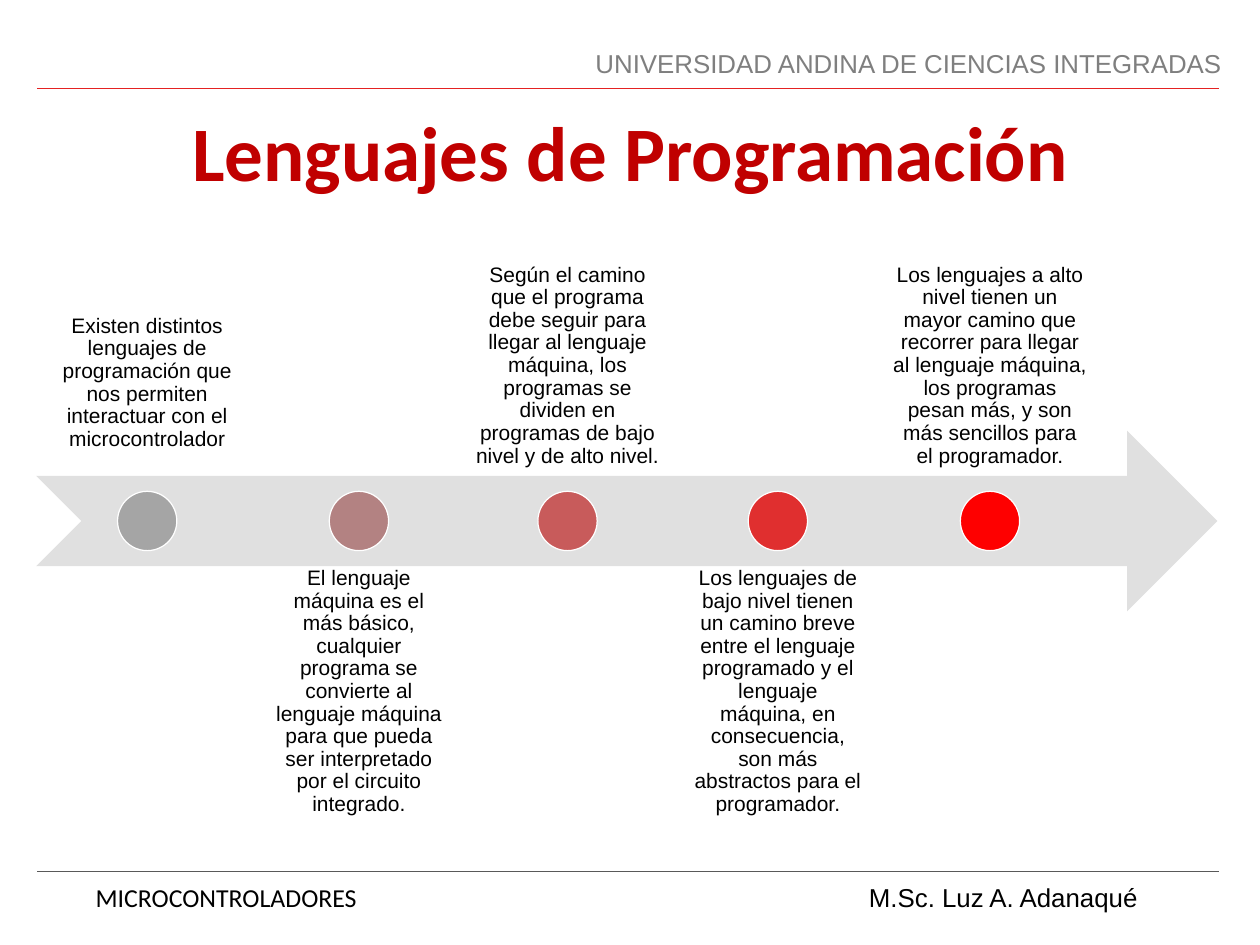
import pptx
import pptx.dml.color
import pptx.enum.shapes
import pptx.enum.text
import pptx.oxml.ns
import pptx.util
from lxml import etree

Cm = pptx.util.Cm
Align = pptx.enum.text.PP_ALIGN
Anchor = pptx.enum.text.MSO_ANCHOR
Shape = pptx.enum.shapes.MSO_SHAPE

COLORS = {
    "header_rule": "E42222",
    "footer_rule": "595959",
    "university": "7F7F7F",
    "title": "C00000",
    "text": "000000",
    "arrow": "E0E0E0",
    "dot_outline": "FFFFFF",
    "start": "A5A5A5",
    "machine": "B38282",
    "path": "C85B5B",
    "low_level": "E02F2F",
    "high_level": "FE0000",
}

MILESTONES = [
    ("start", 6.3, "Existen distintos lenguajes de programación que nos permiten "
     "interactuar con el microcontrolador"),
    ("machine", 5.46, "El lenguaje máquina es el más básico, cualquier programa se convierte "
     "al lenguaje máquina para que pueda ser interpretado por el circuito integrado."),
    ("path", 6.12, "Según el camino que el programa debe seguir para llegar al lenguaje "
     "máquina, los programas se dividen en programas de bajo nivel y de alto nivel."),
    ("low_level", 5.56, "Los lenguajes de bajo nivel tienen un camino breve entre el lenguaje "
     "programado y el lenguaje máquina, en consecuencia, son más abstractos para el programador."),
    ("high_level", 6.22, "Los lenguajes a alto nivel tienen un mayor camino que recorrer para "
     "llegar al lenguaje máquina, los programas pesan más, y son más sencillos para el programador."),
]


def color(key):
    """Return the named colour."""
    return pptx.dml.color.RGBColor.from_string(COLORS[key])


def write(frame, text, size, font, ink, align, anchor=Anchor.TOP, margin=None, bold=False):
    """Fill a text frame with one formatted paragraph."""
    frame.word_wrap = True
    frame.auto_size = pptx.enum.text.MSO_AUTO_SIZE.NONE
    frame.vertical_anchor = anchor
    if margin is not None:
        frame.margin_left = frame.margin_right = Cm(margin)
        frame.margin_top = frame.margin_bottom = Cm(margin)
    paragraph = frame.paragraphs[0]
    paragraph.text = text
    paragraph.alignment = align
    paragraph.line_spacing = 0.9
    paragraph.font.name = font
    paragraph.font.size = pptx.util.Pt(size)
    paragraph.font.bold = bold
    paragraph.font.color.rgb = color(ink)


def add_text(slide, box, *style, **options):
    """Add a formatted text box."""
    frame = slide.shapes.add_textbox(*map(Cm, box)).text_frame
    write(frame, *style, **options)


def add_rule(slide, left, top, width, ink):
    """Add a thin horizontal line."""
    rule = slide.shapes.add_connector(
        pptx.enum.shapes.MSO_CONNECTOR.STRAIGHT,
        Cm(left), Cm(top), Cm(left + width), Cm(top))
    rule.line.color.rgb = color(ink)
    rule.line.width = pptx.util.Pt(0.75)
    etree.SubElement(rule._element.spPr, pptx.oxml.ns.qn("a:effectLst"))


def add_solid(slide, kind, box, fill, outline=None):
    """Add a flat filled shape, outlined when a colour is given."""
    solid = slide.shapes.add_shape(kind, *map(Cm, box))
    solid.shadow.inherit = False
    solid.fill.solid()
    solid.fill.fore_color.rgb = color(fill)
    if outline:
        solid.line.color.rgb = color(outline)
        solid.line.width = pptx.util.Pt(1)
    else:
        solid.line.fill.background()


def add_header(slide, box):
    """Place the university name above its rule."""
    left, top, width, height = box
    add_rule(slide, left, top + height, width, "header_rule")
    add_text(slide, (left + 14.2, top, 20, 1.55), "UNIVERSIDAD ANDINA DE CIENCIAS INTEGRADAS",
             21, "Arial", "university", Align.RIGHT)


def add_title(slide, box):
    """Place the slide title."""
    title = slide.shapes.title
    title.left, title.top, title.width, title.height = map(Cm, box)
    write(title.text_frame, "Lenguajes de Programación", 62.6, "Calibri", "title",
          Align.CENTER, Anchor.MIDDLE, bold=True)


def add_timeline(slide, box):
    """Place the arrow, its dots and the texts alternating above and below it."""
    left, top, width, height = box
    dot, gap, text_height = 1.7, 0.19, 6.81
    middle = top + height / 2
    add_solid(slide, Shape.NOTCHED_RIGHT_ARROW, box, "arrow")
    text_left = left + 0.03
    for index, (stage, text_width, text) in enumerate(MILESTONES):
        above = index % 2 == 0
        rise = 8.49 if index == 0 else 8.01
        text_top = middle - rise if above else middle + 1
        add_text(slide, (text_left, text_top, text_width, text_height), text, 17, "Arial", "text",
                 Align.CENTER, Anchor.BOTTOM if above else Anchor.TOP, margin=0.33)
        dot_left = text_left + (text_width - dot) / 2
        add_solid(slide, Shape.OVAL, (dot_left, middle - dot / 2, dot, dot), stage, "dot_outline")
        text_left += text_width + gap


def add_footer(slide, box):
    """Place the course and the teacher under a rule."""
    left, top, width, height = box
    add_rule(slide, left, top, width, "footer_rule")
    for offset, text, font in ((1.42, "MICROCONTROLADORES", "Calibri"),
                               (23.59, "M.Sc. Luz A. Adanaqué", "Arial")):
        add_text(slide, (left + offset, top + 0.28, 9.02, height - 0.28), text, 21, font, "text",
                 Align.JUSTIFY)


def main():
    """Build and save the slide."""
    deck = pptx.Presentation()
    deck.slide_width, deck.slide_height = Cm(36.12), Cm(27.08)
    slide = deck.slides.add_slide(deck.slide_layouts[5])
    add_header(slide, (1.07, 1.35, 33.88, 1.19))
    add_title(slide, (2.49, 3.1, 31.17, 2.77))
    add_timeline(slide, (1.04, 12.34, 33.86, 5.18))
    add_footer(slide, (1.07, 24.97, 33.88, 1.55))
    deck.save("out.pptx")


if __name__ == "__main__":
    main()
